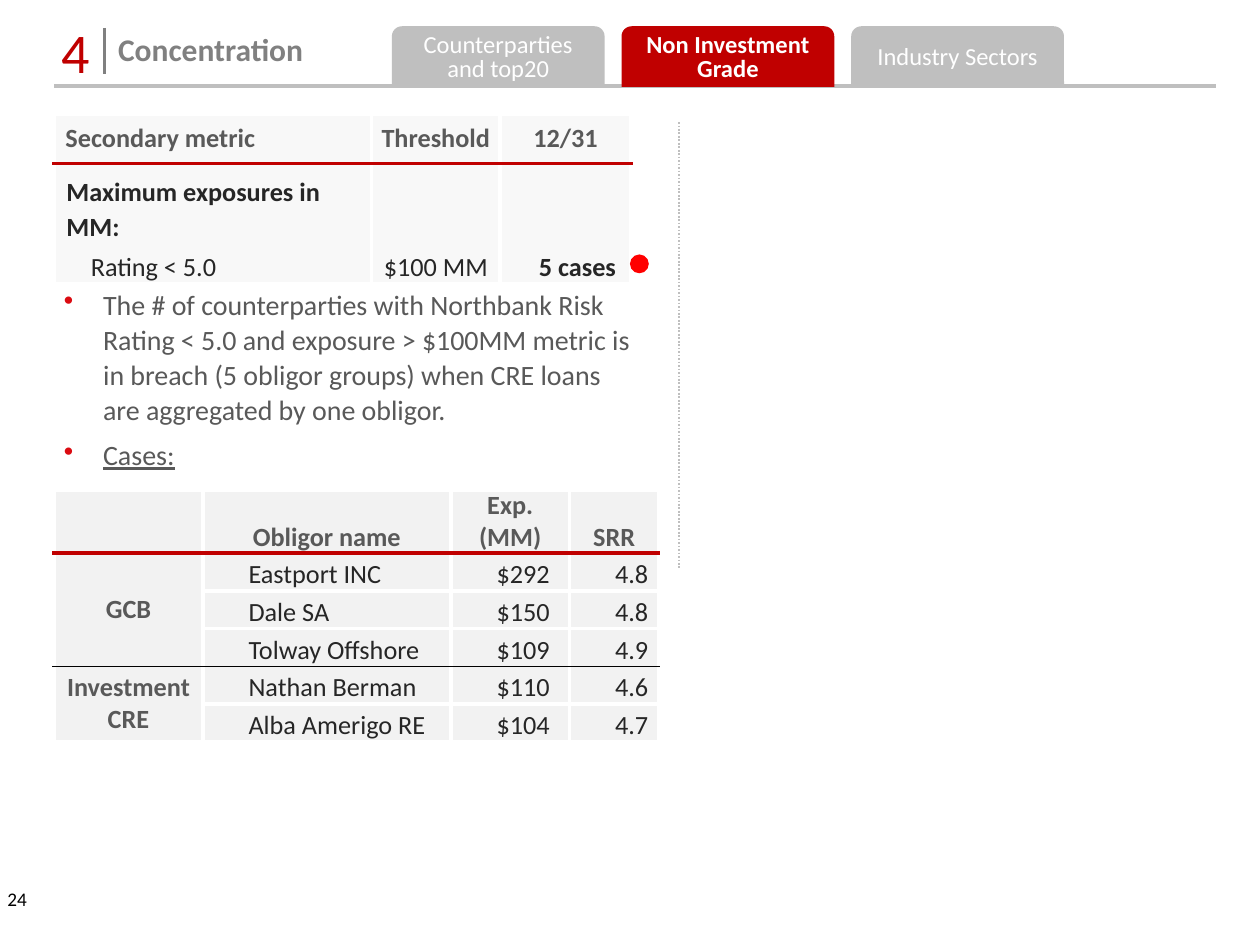
from dataclasses import dataclass, replace
from typing import Optional

from lxml.etree import SubElement as Sub
from pptx import Presentation
from pptx.dml.color import RGBColor as Rgb
from pptx.enum.dml import MSO_LINE as Dash
from pptx.enum.shapes import MSO_CONNECTOR as Link, MSO_SHAPE as Form
from pptx.enum.text import MSO_ANCHOR as Anchor, PP_ALIGN as Align
from pptx.oxml.ns import qn
from pptx.util import Cm, Pt

RED, GREY, DARK, INK, WHITE = "C00000", "BFBFBF", "595959", "262626", "FFFFFF"


@dataclass(frozen=True)
class Look:
    """Style of a block of text."""
    size: float
    hue: str
    bold: bool = False
    align: Align = Align.LEFT
    lead: Optional[float] = None
    gap: float = 0
    inset: float = 0
    dot: str = ""


@dataclass(frozen=True)
class Tab:
    """One tab of the header."""
    text: str
    fill: str = GREY
    bold: bool = False


@dataclass(frozen=True)
class Rule:
    """A straight line."""
    ends: tuple
    hue: str
    width: float
    dash: Optional[Dash] = None


@dataclass(frozen=True)
class Edge:
    """A cell border."""
    hue: str = WHITE
    width: float = 2.25


def color(code: str) -> Rgb:
    """Turn a hex string into a colour."""
    return Rgb.from_string(code)


def write(frame, text: str, look: Look, anchor=Anchor.MIDDLE, pads=(0.25, 0.13, 0.25, 0.13)) -> None:
    """Fill a frame with styled paragraphs."""
    frame.text = text
    for i, para in enumerate(frame.paragraphs):
        props = para._p.get_or_add_pPr()
        props.set("marL", str(Cm(look.inset)))
        props.set("indent", str(Cm(-look.inset) if look.dot else 0))
        if look.dot:
            Sub(Sub(props, qn("a:buClr")), qn("a:srgbClr"), val=look.dot)
            Sub(props, qn("a:buChar"), char="•")
        para.alignment = look.align
        para.space_before = Pt(look.gap if i else 0)
        if look.lead:
            para.line_spacing = Pt(look.lead)
        for run in para.runs:
            font = run.font
            font.name, font.size, font.bold = "Calibri", Pt(look.size), look.bold
            font.color.rgb = color(look.hue)
    if hasattr(frame, "word_wrap"):
        frame.word_wrap = True
        frame.vertical_anchor = anchor
        frame.margin_left, frame.margin_top, frame.margin_right, frame.margin_bottom = map(Cm, pads)


def shape(slide, form: Form, box: tuple, fill: str):
    """Add a flat shape without outline."""
    item = slide.shapes.add_shape(form, *map(Cm, box))
    item.shadow.inherit = False
    item.fill.solid()
    item.fill.fore_color.rgb = color(fill)
    item.line.fill.background()
    return item


def draw(slide, rule: Rule) -> None:
    """Add a line."""
    line = slide.shapes.add_connector(Link.STRAIGHT, *map(Cm, rule.ends))
    line.line.color.rgb = color(rule.hue)
    line.line.width = Pt(rule.width)
    if rule.dash:
        line.line.dash_style = rule.dash
    Sub(line._element.spPr, qn("a:effectLst"))


def border(cell, side: str, edge: Edge) -> None:
    """Draw one side of a cell."""
    line = Sub(cell._tc.get_or_add_tcPr(), qn(f"a:ln{side}"), w=str(Pt(edge.width)))
    Sub(Sub(line, qn("a:solidFill")), qn("a:srgbClr"), val=edge.hue)


def grid(slide, spot: tuple, cols: list, rows: list, fill: str, rules: dict, spans: tuple = ()):
    """Add a table whose rules map row numbers to their bottom edges."""
    size = map(Cm, (*spot, sum(cols), sum(rows)))
    table = slide.shapes.add_table(len(rows), len(cols), *size).table
    table.first_row = table.horz_banding = False
    for col, width in zip(table.columns, cols):
        col.width = Cm(width)
    for row, height in zip(table.rows, rows):
        row.height = Cm(height)
    for top, end in spans:
        table.cell(top, 0).merge(table.cell(end, 0))
    for r in range(len(rows)):
        for c in range(len(cols)):
            cell = table.cell(r, c)
            last = r + (cell.span_height if cell.is_merge_origin else 1) - 1
            border(cell, "L", Edge())
            border(cell, "R", Edge())
            border(cell, "T", rules.get(r - 1, Edge()))
            border(cell, "B", rules.get(last, Edge()))
            cell.fill.solid()
            cell.fill.fore_color.rgb = color(fill)
    return table


def put(cell, text: str, look: Look, anchor: Anchor, pads: tuple) -> None:
    """Write into a table cell."""
    write(cell.text_frame, text, look)
    cell.vertical_anchor = anchor
    cell.margin_left, cell.margin_top, cell.margin_right, cell.margin_bottom = map(Cm, pads)


def header(slide) -> None:
    """Draw the title, its number, the tabs and the rules."""
    for rule in (
        Rule((13.69, 2.46, 13.69, 11.46), GREY, 1, Dash.ROUND_DOT),
        Rule((2.11, 0.56, 2.11, 1.5), "808080", 1.5),
        Rule((1.09, 1.73, 24.51, 1.73), GREY, 2.25),
    ):
        draw(slide, rule)
    title = slide.shapes.title
    title.left, title.top, title.width, title.height = map(Cm, (2.13, 0.66, 4.2, 0.86))
    write(title.text_frame, "Concentration", Look(18, "808080", True, lead=16), pads=(0.25, 0.13, 0, 0.13))
    mark = slide.shapes.add_textbox(*map(Cm, (0.99, 0.56, 0.99, 0.94)))
    write(mark.text_frame, "4", Look(32, RED, align=Align.CENTER))
    page = slide.shapes.add_textbox(*map(Cm, (0, 17.75, 1.14, 1.02)))
    write(page.text_frame, "24", Look(11, "000000"), Anchor.TOP, (0.15, 0.13, 0, 0.13))
    tabs = (
        Tab("Counterparties\nand top20"),
        Tab("Non Investment\nGrade", RED, True),
        Tab("Industry Sectors"),
    )
    for i, tab in enumerate(tabs):
        item = shape(slide, Form.ROUND_2_SAME_RECTANGLE, (7.9 + 4.63 * i, 0.53, 4.29, 1.22), tab.fill)
        write(item.text_frame, tab.text, Look(14, WHITE, tab.bold, Align.CENTER, 14))


def metric(slide) -> None:
    """Draw the table of the metric and its status dot."""
    table = grid(slide, (1.09, 2.31), [6.4, 2.59, 2.64], [0.99, 2.4], "F8F8F8", {0: Edge(RED)})
    head = Look(15, DARK, True, Align.CENTER, 18)
    for c, text in enumerate(("Secondary metric", "Threshold", "12/31")):
        look = head if c else replace(head, align=Align.LEFT, inset=0.23)
        put(table.cell(0, c), text, look, Anchor.MIDDLE, (0, 0, 0, 0))
    body = Look(15, INK, align=Align.CENTER, lead=20, gap=3)
    pads = (0, 0.2, 0, 0)
    label = table.cell(1, 0)
    put(label, "Maximum exposures in MM:\nRating < 5.0", replace(body, align=Align.LEFT, inset=0.25), Anchor.TOP, pads)
    lead, case = label.text_frame.paragraphs
    lead.runs[0].font.bold = True
    case._p.get_or_add_pPr().set("marL", str(Cm(0.74)))
    put(table.cell(1, 1), "$100 MM", body, Anchor.BOTTOM, pads)
    put(table.cell(1, 2), "5 cases", replace(body, bold=True, inset=0.48), Anchor.BOTTOM, pads)
    shape(slide, Form.OVAL, (12.7, 5.13, 0.38, 0.38), "FF0000")


def notes(slide) -> None:
    """Write the bullet points."""
    item = shape(slide, Form.ROUNDED_RECTANGLE, (1.04, 5.92, 11.99, 3.43), WHITE)
    item.adjustments[0] = 0
    text = ("The # of counterparties with Northbank Risk Rating < 5.0 and exposure > $100MM metric is "
            "in breach (5 obligor groups) when CRE loans are aggregated by one obligor.\nCases:")
    write(item.text_frame, text, Look(16, DARK, lead=20, gap=6, inset=0.79, dot="DB0B11"))
    item.text_frame.paragraphs[1].runs[0].font.underline = True


def cases(slide) -> None:
    """Draw the table of obligors."""
    rules = {0: Edge(RED), 3: Edge("000000", 1)}
    table = grid(slide, (1.09, 9.88), [3, 5, 2.39, 1.8], [1.27] + [0.76] * 5, "F2F2F2", rules, ((1, 3), (4, 5)))
    pads = (0.18, 0, 0.18, 0)
    head = Look(15, DARK, True, Align.CENTER, 18)
    for c, text in enumerate(("Obligor name", "Exp. (MM)", "SRR"), 1):
        put(table.cell(0, c), text, head, Anchor.BOTTOM, pads)
    for r, text in ((1, "GCB"), (4, "Investment CRE")):
        put(table.cell(r, 0), text, head, Anchor.MIDDLE, pads)
    rows = (
        ("Eastport INC", "$292", "4.8"),
        ("Dale SA", "$150", "4.8"),
        ("Tolway Offshore", "$109", "4.9"),
        ("Nathan Berman", "$110", "4.6"),
        ("Alba Amerigo RE", "$104", "4.7"),
    )
    for r, row in enumerate(rows, 1):
        for c, text in enumerate(row, 1):
            put(table.cell(r, c), text, Look(15, INK, lead=20, inset=0.74), Anchor.BOTTOM, pads)


def main() -> None:
    """Build and save the slide."""
    deck = Presentation()
    deck.slide_width, deck.slide_height = Cm(25.4), Cm(19.05)
    slide = deck.slides.add_slide(deck.slide_layouts[5])
    for part in (header, metric, notes, cases):
        part(slide)
    deck.save("out.pptx")


if __name__ == "__main__":
    main()
